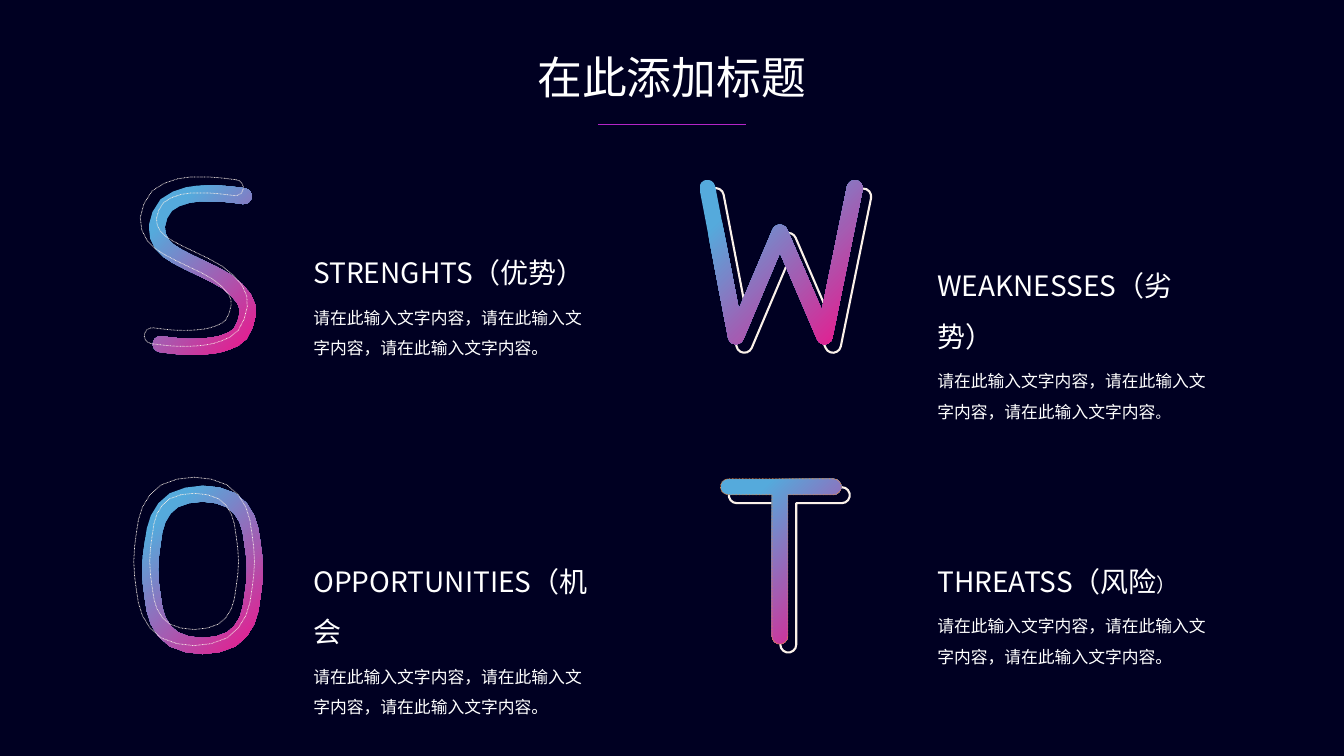
import math
from dataclasses import dataclass

from lxml import etree
from pptx import Presentation
from pptx.dml.color import RGBColor
from pptx.enum.dml import MSO_LINE
from pptx.enum.shapes import MSO_CONNECTOR
from pptx.enum.text import MSO_AUTO_SIZE, PP_ALIGN
from pptx.oxml.ns import qn
from pptx.util import Pt

STRAIGHT = MSO_CONNECTOR.STRAIGHT
DOTTED = MSO_LINE.ROUND_DOT
FIT_TEXT = MSO_AUTO_SIZE.SHAPE_TO_FIT_TEXT
CENTER = PP_ALIGN.CENTER

FONT = "Noto Sans CJK SC"
COLORS = {
    "night": "000022", "white": "FFFFFF", "cream": "FBF1E9", "orange": "DB8544",
    "sky": "55AADC", "pink": "F11189", "violet": "B325C8",
}
STROKE_RADIUS = 5.7
BODY = "请在此输入文字内容，请在此输入文字内容，请在此输入文字内容"

Point = tuple[float, float]
Loop = list[Point]
Runs = list[tuple[str, float]]


@dataclass
class Letter:
    left: float
    top: float
    loops: list[Loop]       # centre lines, each walked as a closed loop
    echo_shift: float       # offset of the outline-only twin
    echo_width: float
    echo_dotted: bool
    echo_in_front: bool
    edge: str | None = None


@dataclass
class Note:
    left: float
    top: float
    height: float
    heading: Runs
    body: Runs


def rgb(name: str) -> RGBColor:
    return RGBColor.from_string(COLORS[name])


# Letter geometry
def smooth(points: Loop, closed: bool, steps: int = 2) -> Loop:
    """Catmull-Rom curve through the points."""
    if closed:
        knots = [points[-1], *points, *points[:2]]
    else:
        knots = [points[0], *points, points[-1]]
    curve = []
    for a, b, c, d in zip(knots, knots[1:], knots[2:], knots[3:]):
        for t in (step / steps for step in range(steps)):
            curve.append(tuple(
                q + 0.5 * t * (r - p + t * (2 * p - 5 * q + 4 * r - s
                                            + t * (3 * (q - r) + s - p)))
                for p, q, r, s in zip(a, b, c, d)))
    return curve if closed else [*curve, points[-1]]


def there_and_back(points: Loop) -> Loop:
    return points + points[-2:0:-1]


def stroke_edge(loop: Loop) -> Loop:
    """Left edge of a round pen drawn along the loop."""
    edge = []
    for i, (x, y) in enumerate(loop):
        before, after = loop[i - 1], loop[(i + 1) % len(loop)]
        heading = math.atan2(y - before[1], x - before[0])
        turn = math.remainder(math.atan2(after[1] - y, after[0] - x) - heading, math.tau)
        if turn < -3.1:
            turn += math.tau
        normal = heading - math.pi / 2
        if turn > 0.6:
            steps = math.ceil(turn / 0.45)
            spokes = [(normal + turn * k / steps, STROKE_RADIUS) for k in range(steps + 1)]
        else:
            spokes = [(normal + turn / 2, STROKE_RADIUS / math.cos(turn / 2))]
        edge += [(x + r * math.cos(a), y + r * math.sin(a)) for a, r in spokes]
    return edge


S_LINE = smooth([
    (68.4, 7.6), (55.8, 6.1), (43.2, 5.6), (28.4, 6.8), (13, 14), (6.2, 29.2),
    (10.1, 42.1), (20.9, 50.6), (37.8, 59), (55.8, 68.4), (68.4, 80.6), (71.1, 92.2),
    (65.9, 105.8), (56.5, 111.6), (46.1, 114.3), (33.1, 115.2), (21.6, 114.8), (9, 113.3),
], closed=False)
W_LINE = [(5.6, 5.8), (26, 112), (57.4, 37.8), (89.3, 112), (110.9, 6.1)]
O_QUARTER = [(0, -54.4), (20.5, -49.7), (31.7, -36.4), (35.6, -19.4), (37.4, 0)]
O_HALF = O_QUARTER + [(x, -y) for x, y in O_QUARTER[-2::-1]]
O_RING = smooth([(43.2 + x, 60 + y) for x, y in
                 O_HALF + [(-x, y) for x, y in O_HALF[-2:0:-1]]], closed=True)
T_JOINT = (42.5, 5.7)
T_LOOP = [(5.7, 5.7), T_JOINT, (80.7, 5.7), T_JOINT, (42.5, 112.4), T_JOINT]

LETTERS = [
    Letter(105.8, 132.5, [there_and_back(S_LINE)], -6, 0.5, True, True),
    Letter(499.7, 128.3, [there_and_back(W_LINE)], 6, 1.5, False, False),
    Letter(101.5, 347, [O_RING, O_RING[::-1]], -6, 0.5, True, True),
    Letter(514.6, 342, [T_LOOP], 6, 1.5, False, False, edge="orange"),
]

NOTES = [
    Note(216.7, 167, 93.6, [("STRENGHTS（优势）", 20)], [(BODY + "。", 12)]),
    Note(662.4, 176.4, 93.6, [("WEAKNESSES（劣势）", 20)], [(BODY, 12), ("。", 10)]),
    Note(216.7, 387.4, 127.4, [("OPPORTUNITIES（机会", 20)], [(BODY + "。", 12)]),
    Note(662.4, 387.4, 93.6, [("THREATSS（风险", 20), ("）", 14)], [(BODY + "。", 12)]),
]


# Drawing
def draw_outline(slide, letter: Letter, shift: float):
    builder = None
    for loop in letter.loops:
        edge = [(Pt(letter.left + shift + x), Pt(letter.top + shift + y))
                for x, y in stroke_edge(loop)]
        if builder is None:
            builder = slide.shapes.build_freeform(*edge[0])
        else:
            builder.move_to(*edge[0])
        builder.add_line_segments(edge[1:], close=True)
    shape = builder.convert_to_shape()
    shape.shadow.inherit = False
    return shape


def set_line(line, color: str, width: float, dotted: bool) -> None:
    line.color.rgb = rgb(color)
    line.width = Pt(width)
    if dotted:
        line.dash_style = DOTTED


def draw_solid(slide, letter: Letter) -> None:
    solid = draw_outline(slide, letter, 0)
    solid.fill.gradient()
    solid.fill.gradient_angle = 315
    for stop, place, color in zip(solid.fill.gradient_stops, (0.18, 1), ("sky", "pink")):
        stop.position = place
        stop.color.rgb = rgb(color)
    if letter.edge:
        set_line(solid.line, letter.edge, 0.5, True)
    else:
        solid.line.fill.background()


def draw_echo(slide, letter: Letter) -> None:
    echo = draw_outline(slide, letter, letter.echo_shift)
    echo.fill.background()
    set_line(echo.line, "cream", letter.echo_width, letter.echo_dotted)


def write_runs(paragraph, runs: Runs) -> None:
    font = paragraph.font
    font.name = FONT
    font.color.rgb = rgb("white")
    font.size = Pt(runs[0][1])
    defaults = paragraph._p.pPr.find(qn("a:defRPr"))
    etree.SubElement(defaults, qn("a:ea")).set("typeface", FONT)
    for text, size in runs:
        run = paragraph.add_run()
        run.text = text
        if size != runs[0][1]:
            run.font.size = Pt(size)


def add_text_frame(slide, left: float, top: float, width: float, height: float):
    frame = slide.shapes.add_textbox(Pt(left), Pt(top), Pt(width), Pt(height)).text_frame
    frame.word_wrap = True
    frame.auto_size = FIT_TEXT
    return frame


def draw_note(slide, note: Note) -> None:
    frame = add_text_frame(slide, note.left, note.top, 214.6, note.height)
    for paragraph, runs in ((frame.paragraphs[0], note.heading),
                            (frame.add_paragraph(), note.body)):
        paragraph.line_spacing = 1.5
        paragraph.space_after = Pt(6)
        write_runs(paragraph, runs)


def main() -> None:
    deck = Presentation()
    deck.slide_width, deck.slide_height = Pt(960), Pt(540)
    slide = deck.slides.add_slide(deck.slide_layouts[6])
    slide.background.fill.solid()
    slide.background.fill.fore_color.rgb = rgb("night")

    # Title and its rule
    title = add_text_frame(slide, 324.7, 31.7, 310.3, 46).paragraphs[0]
    title.alignment = CENTER
    write_runs(title, [("在此添加标题", 32)])
    rule = slide.shapes.add_connector(STRAIGHT, Pt(427), Pt(88.8), Pt(533), Pt(88.8))
    set_line(rule.line, "violet", 0.5, False)
    etree.SubElement(rule._element.spPr, qn("a:effectLst"))

    # Four letters with their notes
    for letter in LETTERS:
        layers = [draw_echo, draw_solid]
        for draw in reversed(layers) if letter.echo_in_front else layers:
            draw(slide, letter)
    for note in NOTES:
        draw_note(slide, note)

    deck.save("out.pptx")


if __name__ == "__main__":
    main()
